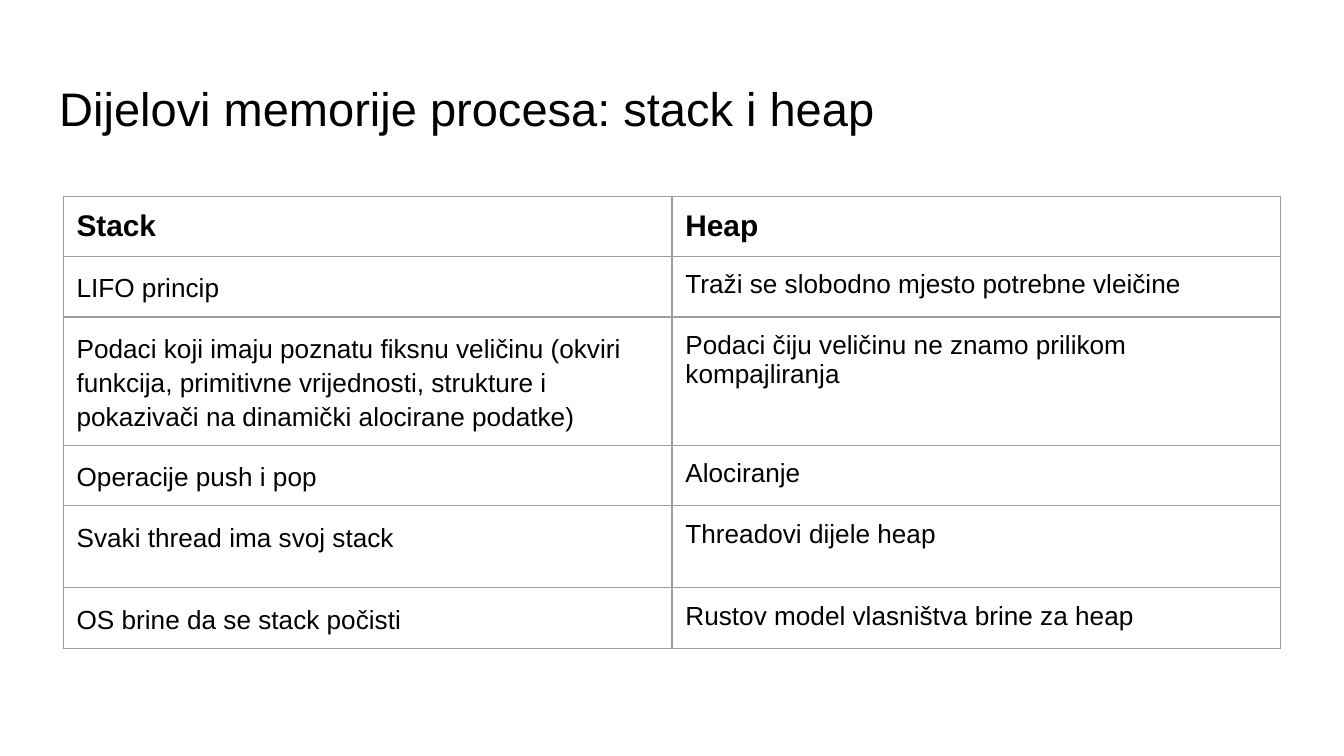
from lxml.etree import SubElement
from pptx import Presentation
from pptx.dml.color import RGBColor
from pptx.enum.text import MSO_ANCHOR, MSO_AUTO_SIZE, PP_ALIGN
from pptx.oxml.ns import qn
from pptx.util import Inches, Pt

TITLE = "Dijelovi memorije procesa: stack i heap"
HEADINGS = ("Stack", "Heap")
COMPARISON = [
    ("LIFO princip", "Traži se slobodno mjesto potrebne vleičine"),
    ("Podaci koji imaju poznatu fiksnu veličinu (okviri funkcija, primitivne "
     "vrijednosti, strukture i pokazivači na dinamički alocirane podatke)",
     "Podaci čiju veličinu ne znamo prilikom kompajliranja"),
    ("Operacije push i pop", "Alociranje"),
    ("Svaki thread ima svoj stack", "Threadovi dijele heap"),
    ("OS brine da se stack počisti", "Rustov model vlasništva brine za heap"),
]
SLIDE_WIDTH = 10
SLIDE_HEIGHT = SLIDE_WIDTH * 9 / 16
ROW_HEIGHTS = (0.43, 0.4, 0.89, 0.4, 0.61, 0.39)
COLUMN_WIDTH = 4.53
INSET = 0.1
FONT = "Arial"
COLORS = {"text": "000000", "border": "9E9E9E", "background": "FFFFFF"}


def style_font(paragraph, size, bold=False):
    font = paragraph.font
    font.name = FONT
    font.size = Pt(size)
    font.bold = bold
    font.color.rgb = RGBColor.from_string(COLORS["text"])


def set_insets(holder):
    holder.margin_left = holder.margin_right = Inches(INSET)
    holder.margin_top = holder.margin_bottom = Inches(INSET)


def add_borders(cell):
    properties = cell._tc.get_or_add_tcPr()
    for side in ("a:lnL", "a:lnR", "a:lnT", "a:lnB"):
        border = SubElement(properties, qn(side), w=str(Pt(0.75)))
        fill = SubElement(border, qn("a:solidFill"))
        SubElement(fill, qn("a:srgbClr"), val=COLORS["border"])


def add_title(slide):
    title = slide.shapes.title
    title.left, title.top = Inches(0.34), Inches(0.49)
    title.width, title.height = Inches(9.32), Inches(0.63)
    frame = title.text_frame
    frame.text = TITLE
    frame.word_wrap = True
    frame.auto_size = MSO_AUTO_SIZE.NONE
    frame.vertical_anchor = MSO_ANCHOR.TOP
    set_insets(frame)
    heading = frame.paragraphs[0]
    heading.alignment = PP_ALIGN.LEFT
    heading.line_spacing = 1.0
    style_font(heading, 25.2)


def add_comparison(slide):
    rows = [HEADINGS, *COMPARISON]
    table = slide.shapes.add_table(
        len(rows), len(HEADINGS), Inches(0.47), Inches(1.46),
        Inches(COLUMN_WIDTH * len(HEADINGS)), Inches(sum(ROW_HEIGHTS))).table
    table.first_row = table.horz_banding = False
    for column in table.columns:
        column.width = Inches(COLUMN_WIDTH)
    for r, (texts, height) in enumerate(zip(rows, ROW_HEIGHTS)):
        table.rows[r].height = Inches(height)
        for c, text in enumerate(texts):
            cell = table.cell(r, c)
            cell.text = text
            set_insets(cell)
            add_borders(cell)
            cell.fill.background()
            paragraph = cell.text_frame.paragraphs[0]
            style_font(paragraph, 16 if r == 0 else 14, bold=r == 0)
            if r > 0 and c == 0:
                paragraph.line_spacing = 1.15
                paragraph.space_after = Pt(12)


def main():
    deck = Presentation()
    deck.slide_width, deck.slide_height = Inches(SLIDE_WIDTH), Inches(SLIDE_HEIGHT)
    slide = deck.slides.add_slide(deck.slide_layouts[5])
    background = slide.background.fill
    background.solid()
    background.fore_color.rgb = RGBColor.from_string(COLORS["background"])
    add_title(slide)
    add_comparison(slide)
    deck.save("out.pptx")


if __name__ == "__main__":
    main()
